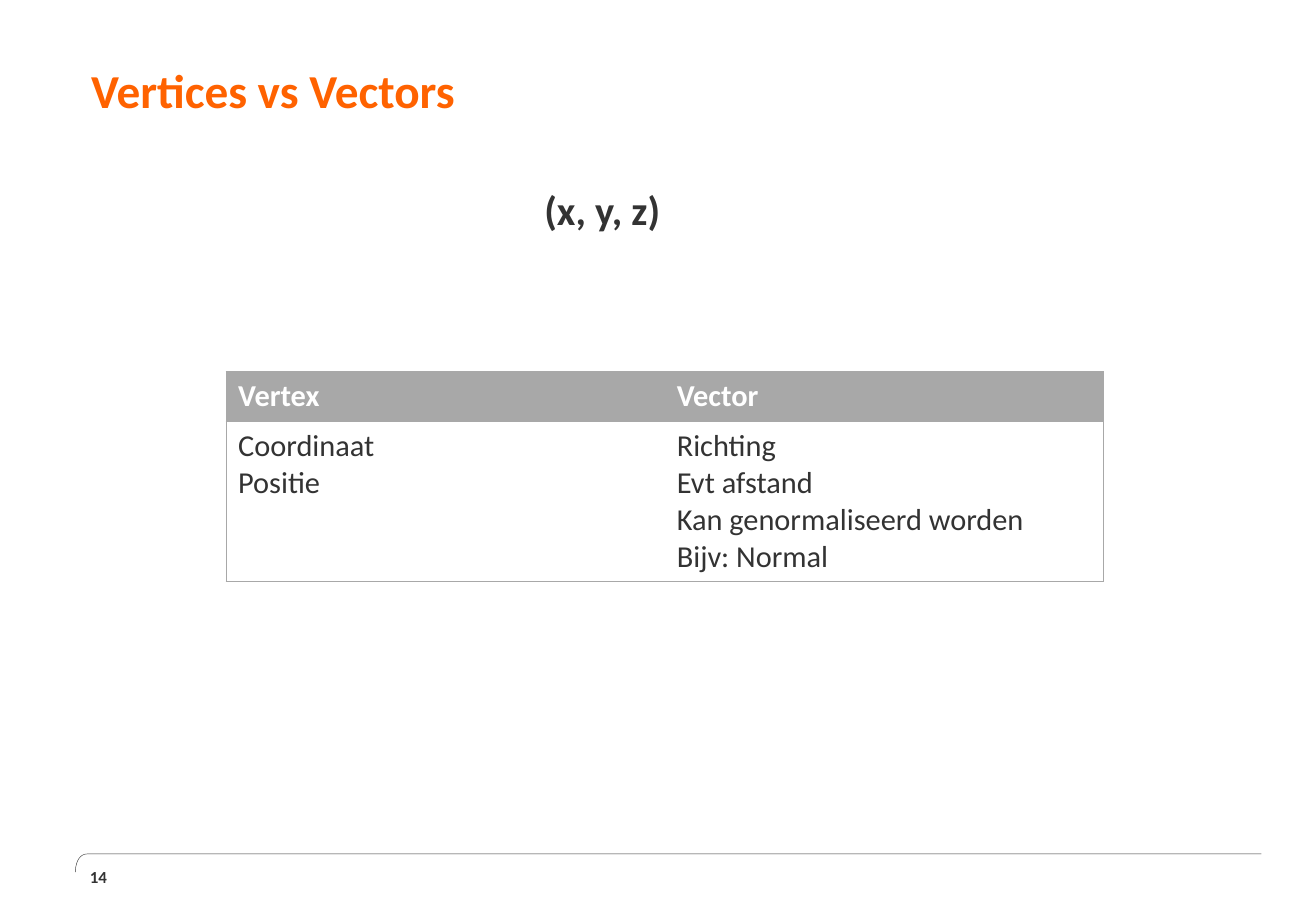
from lxml.etree import SubElement
from pptx import Presentation
from pptx.dml.color import RGBColor
from pptx.enum.text import MSO_ANCHOR as Anchor, MSO_AUTO_SIZE as AutoSize, PP_ALIGN as Align
from pptx.oxml.ns import qn
from pptx.util import Pt

PX = 9144  # 100 px to the inch
FONT = "Calibri"
COLORS = {"title": "FF6200", "text": "333333", "grid": "A8A8A8", "white": "FFFFFF"}
COMPARISON = [
    ("Vertex", "Vector"),
    ("Coordinaat\nPositie",
     "Richting\nEvt afstand\nKan genormaliseerd worden\nBijv: Normal"),
]


def px(*lengths):
    return [round(length * PX) for length in lengths]


def color(name):
    return RGBColor.from_string(COLORS[name])


def write(frame, text, size, color_name, bold=True):
    frame.text = text
    for paragraph in frame.paragraphs:
        paragraph.alignment = Align.LEFT
        for run in paragraph.runs:
            run.font.name = FONT
            run.font.size = Pt(size)
            run.font.bold = bold
            run.font.color.rgb = color(color_name)


def set_insets(frame, inset):
    frame.margin_left = frame.margin_top = frame.margin_right = frame.margin_bottom = inset * PX


def add_title(slide, text):
    title = slide.shapes.title
    title.left, title.top, title.width, title.height = px(75, 31, 932, 93)
    frame = title.text_frame
    set_insets(frame, 0)
    frame.vertical_anchor = Anchor.MIDDLE
    frame.auto_size = AutoSize.NONE
    write(frame, text, 28, "title")
    frame.paragraphs[0].line_spacing = Pt(28)


def add_label(slide, text, box, size, inset, anchor):
    frame = slide.shapes.add_textbox(*px(*box)).text_frame
    frame.word_wrap = True
    frame.vertical_anchor = anchor
    set_insets(frame, inset)
    write(frame, text, size, "text")


def add_footer_rule(slide):
    """Draw the long rule whose left end bends down."""
    left, bend, right, top, bottom = 62, 72, 1038, 703, 718
    steps = 12
    curve = []
    for step in range(1, steps + 1):
        t = step / steps
        curve.append((left + (bend - left) * (1 - t) ** 3,
                      top + (bottom - top) * t * t * (3 - 2 * t)))
    builder = slide.shapes.build_freeform(*px(right, top))
    builder.add_line_segments([px(*point) for point in [(bend, top), *curve]], close=False)
    rule = builder.convert_to_shape()
    rule.shadow.inherit = False
    rule.fill.background()
    rule.line.color.rgb = color("text")
    rule.line.width = Pt(0.25)


def set_borders(cell, visible_sides):
    properties = cell._tc.get_or_add_tcPr()
    for side in "LRTB":
        line = SubElement(properties, qn(f"a:ln{side}"), w=str(Pt(0.5)))
        if side in visible_sides:
            fill = SubElement(line, qn("a:solidFill"))
            SubElement(fill, qn("a:srgbClr"), val=COLORS["grid"])
        else:
            SubElement(line, qn("a:noFill"))


def add_comparison(slide, rows):
    table = slide.shapes.add_table(len(rows), 2, *px(186, 306, 722, 171)).table
    table.first_row = table.horz_banding = False
    for row, height in zip(table.rows, px(41, 132)):
        row.height = height
    for row_index, texts in enumerate(rows):
        header = row_index == 0
        for column, text in enumerate(texts):
            cell = table.cell(row_index, column)
            set_borders(cell, ("T" if header else "TB") + "LR"[column])
            cell.fill.solid()
            cell.fill.fore_color.rgb = color("grid" if header else "white")
            write(cell.text_frame, text, 18, "white" if header else "text", bold=header)


def main():
    presentation = Presentation()
    presentation.slide_width, presentation.slide_height = px(1083, 750)
    slide = presentation.slides.add_slide(presentation.slide_layouts[5])
    add_footer_rule(slide)
    add_title(slide, "Vertices vs Vectors")
    add_label(slide, "14", (74, 711, 44, 21), 10, 0, Anchor.MIDDLE)
    add_comparison(slide, COMPARISON)
    add_label(slide, "(x, y, z)", (444, 148, 143, 48), 24, 4, Anchor.TOP)
    presentation.save("out.pptx")


if __name__ == "__main__":
    main()
